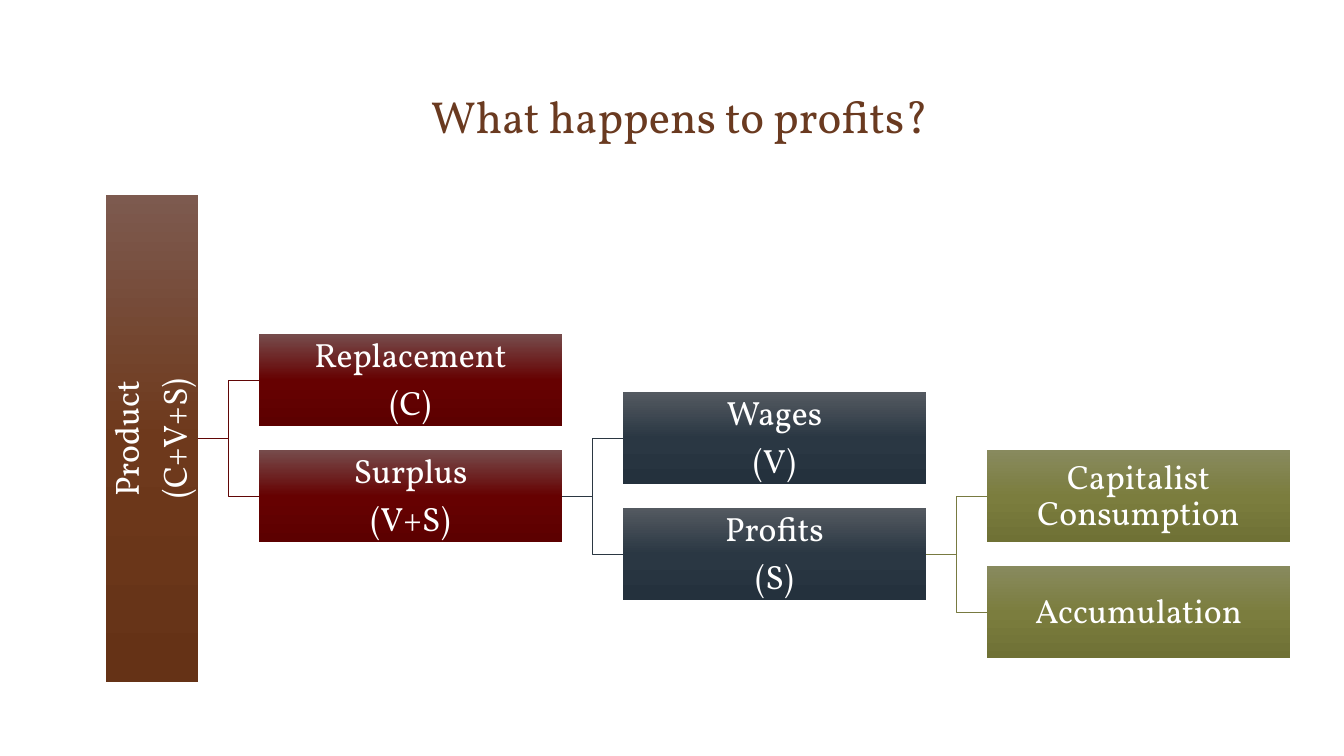
import copy
import pptx
import pptx.util
import pptx.dml.color
import pptx.enum.shapes
import pptx.enum.text
import pptx.oxml
import pptx.oxml.ns

TITLE = "What happens to profits?"
ROOT = ["Product", "(C+V+S)"]
LEVELS = [
    ("red", [["Replacement", "(C)"], ["Surplus", "(V+S)"]]),
    ("blue", [["Wages", "(V)"], ["Profits", "(S)"]]),
    ("olive", [["Capitalist Consumption"], ["Accumulation"]]),
]
COLORS = {"title": "6A3A20", "text": "FFFFFF",
          "red": "610606", "blue": "2B3742", "olive": "787A41"}
FADES = {
    "brown": ["7D5A4F", "6E391C", "653216"],
    "red": ["764B4B", "660101", "5C0000"],
    "blue": ["535960", "2A3743", "24313D"],
    "olive": ["888A5E", "7B7D3E", "6F7135"],
}
FONT = "Vollkorn"
PX = 914400 / 100.8
WIDE, HIGH, GAP = 303, 92, 61
ROOT_X, ROOT_Y, ROOT_H = 106, 195, 487
HALF = 58


def px(n):
    return pptx.util.Emu(round(n * PX))


def rgb(code):
    return pptx.dml.color.RGBColor.from_string(code)


def write(shape, lines, size=24, color="text", anchor="MIDDLE", inset=2, line=0.9, after=8.4):
    frame = shape.text_frame
    frame.word_wrap = True
    frame.vertical_anchor = pptx.enum.text.MSO_ANCHOR[anchor]
    for side in ("left", "right", "top", "bottom"):
        setattr(frame, "margin_" + side, px(inset))
    frame.text = "\n".join(lines)
    for para in frame.paragraphs:
        para.alignment = pptx.enum.text.PP_ALIGN.CENTER
        para.line_spacing = line
        para.space_after = pptx.util.Pt(after)
        para.font.size = pptx.util.Pt(size)
        para.font.name = FONT
        para.font.color.rgb = rgb(COLORS[color])


def add_box(slide, x, y, w, h, lines, fade):
    box = slide.shapes.add_shape(
        pptx.enum.shapes.MSO_SHAPE.RECTANGLE, px(x), px(y), px(w), px(h))
    box.shadow.inherit = False
    box.line.fill.background()
    box.fill.gradient()
    box.fill.gradient_angle = 270
    stops = box._element.spPr.find(".//" + pptx.oxml.ns.qn("a:gsLst"))
    stops.append(copy.deepcopy(stops[-1]))
    for stop, code, pos in zip(box.fill.gradient_stops, FADES[fade], (0, 0.5, 1)):
        stop.color.rgb = rgb(code)
        stop.position = pos
    write(box, lines)
    return box


def join(slide, start, end, color):
    link = slide.shapes.add_connector(
        pptx.enum.shapes.MSO_CONNECTOR.ELBOW, 0, 0, 0, 0)
    link.begin_connect(start, 3)
    link.end_connect(end, 1)
    link.line.color.rgb = rgb(COLORS[color])
    link.line.width = pptx.util.Pt(1)
    link._element.spPr.append(pptx.oxml.parse_xml(
        "<a:effectLst %s/>" % pptx.oxml.ns.nsdecls("a")))


def main():
    deck = pptx.Presentation()
    deck.slide_width, deck.slide_height = px(1344), px(756)
    slide = deck.slides.add_slide(deck.slide_layouts[6])

    title = slide.shapes.add_textbox(px(151), px(76), px(1058), px(72))
    write(title, [TITLE], size=32, color="title", anchor="BOTTOM", inset=5, line=1.0, after=0)

    parent = add_box(slide, ROOT_X, ROOT_Y, HIGH, ROOT_H, ROOT, "brown")
    parent.text_frame._txBody.bodyPr.set("vert", "vert270")

    left = ROOT_X + HIGH + GAP
    mid = ROOT_Y + ROOT_H / 2
    for tone, pair in LEVELS:
        for sign, lines in zip((-1, 1), pair):
            top = mid + sign * HALF - HIGH / 2
            child = add_box(slide, left, top, WIDE, HIGH, lines, tone)
            join(slide, parent, child, tone)
        parent = child
        left += WIDE + GAP
        mid += HALF

    deck.save("out.pptx")


if __name__ == "__main__":
    main()
